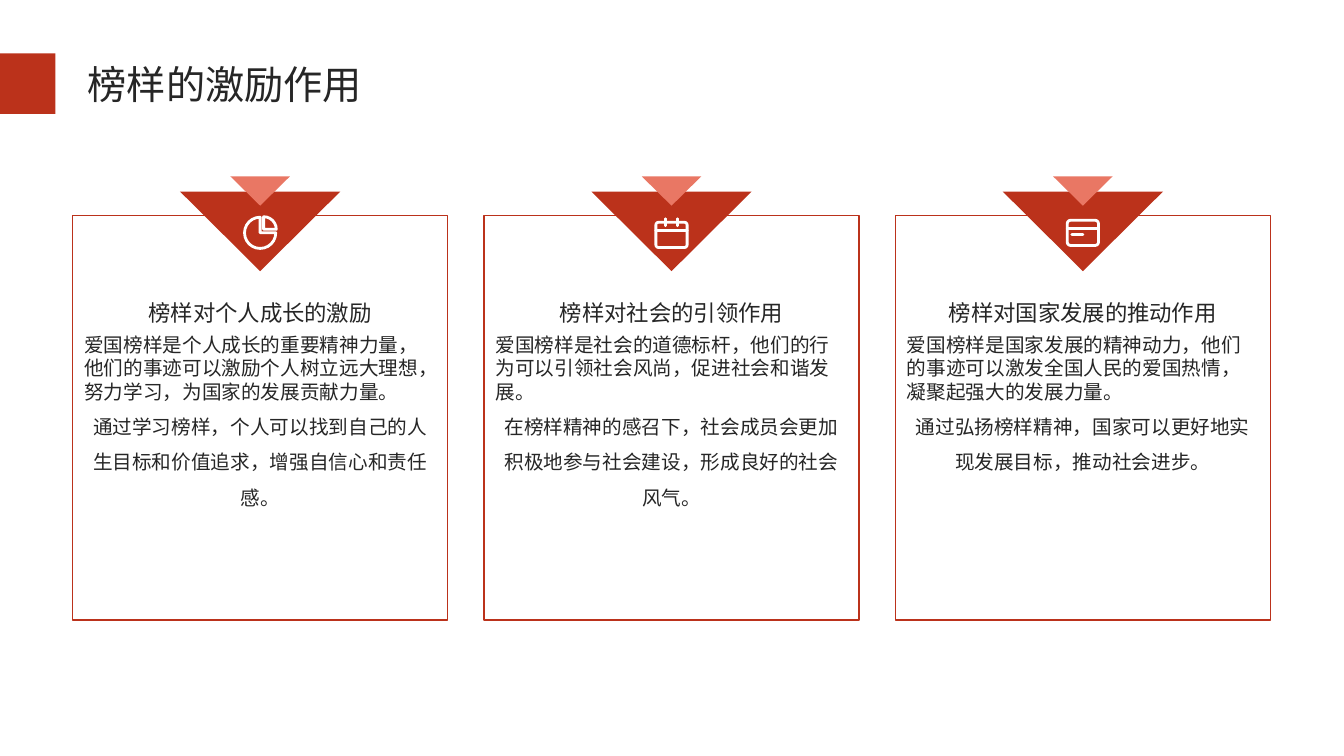
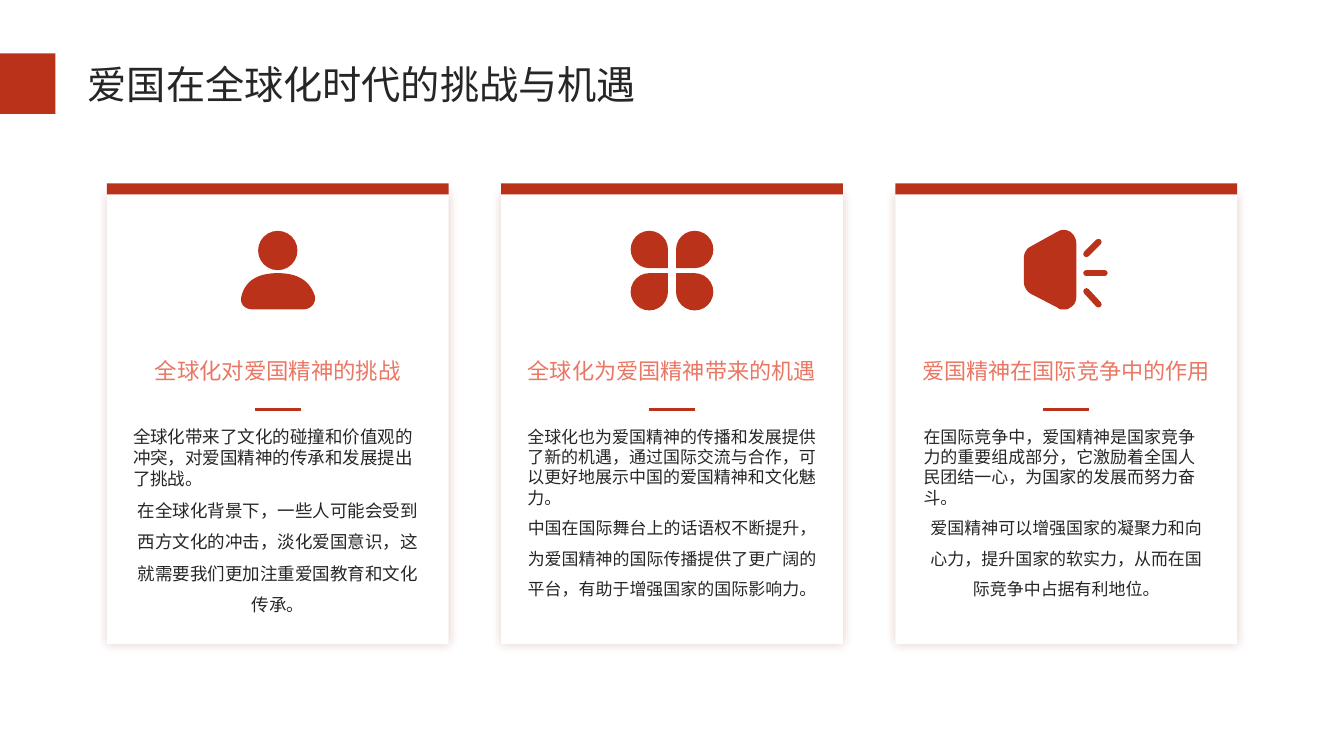
from lxml import etree
from pptx import Presentation
from pptx import util as u
from pptx.dml.color import RGBColor
from pptx.enum import shapes, text
from pptx.oxml.ns import qn

COLORS = {"red": "BB321B", "coral": "E97764", "ink": "262626",
          "white": "FFFFFF", "shade": "8C2514"}
FONT = "Noto Sans CJK SC"
SLIDE_W, SLIDE_H = 13.33, 7.5
SHAPE, ALIGN, ANCHOR = shapes.MSO_SHAPE, text.PP_ALIGN, text.MSO_ANCHOR
TIGHT, LOOSE = 1.2, 1.8  # line pitch as a multiple of the text size

# Icon parts are offsets in inches from the icon's centre:
# ("shape", preset, box, settings), ("line", from, to),
# ("path", start, points or six-number curves).
PIE = [("shape", SHAPE.PIE, (-.155, -.155, .31, .31), {}),
       ("shape", SHAPE.PIE, (-.09, -.16, .25, .25), {"adjust": (162, 0)})]
CALENDAR = [("shape", SHAPE.ROUNDED_RECTANGLE, (-.155, -.105, .31, .25), {"adjust": (.1,)}),
            ("line", (-.155, -.02), (.155, -.02)),
            ("line", (-.06, -.14), (-.06, -.07)),
            ("line", (.06, -.14), (.06, -.07))]
BANK_CARD = [("shape", SHAPE.ROUNDED_RECTANGLE, (-.155, -.125, .31, .25), {"adjust": (.13,)}),
             ("line", (-.155, -.045), (.155, -.045)),
             ("line", (-.11, .015), (0, .015))]
PERSON = [("shape", SHAPE.OVAL, (-.195, -.39, .39, .39), {}),
          ("path", (0, .03), [
              (.24, .03, .33, .14, .37, .26), (.38, .33, .33, .39, .25, .39),
              (-.25, .39), (-.33, .39, -.38, .33, -.36, .26),
              (-.33, .14, -.24, .03, 0, .03)])]
CLOVER = [("shape", SHAPE.TEAR, (x, y, .37, .37), {"rotation": turn})
          for x, y, turn in [(-.41, -.39, 90), (.04, -.39, 180),
                             (-.41, .03, 0), (.04, .03, 270)]]
SPEAKER = [("path", (-.03, -.4), [
               (0, -.4, .02, -.39, .04, -.38), (.08, -.35, .1, -.31, .1, -.26),
               (.1, .26), (.1, .31, .08, .35, .04, .37),
               (.02, .39, 0, .39, -.03, .39), (-.05, .39, -.07, .39, -.09, .37),
               (-.36, .23), (-.4, .2, -.42, .16, -.42, .11),
               (-.42, -.12), (-.42, -.16, -.4, -.21, -.36, -.23),
               (-.09, -.38), (-.07, -.39, -.05, -.4, -.03, -.4)]),
           ("line", (.2, -.16), (.32, -.28)),
           ("line", (.2, .03), (.38, .03)),
           ("line", (.2, .21), (.32, .34))]

ROLES = {
    "title": "榜样的激励作用",
    "cards": [
        ("榜样对个人成长的激励", PIE,
         "爱国榜样是个人成长的重要精神力量，他们的事迹可以激励个人树立远大理想，努力学习，为国家的发展贡献力量。",
         "通过学习榜样，个人可以找到自己的人生目标和价值追求，增强自信心和责任感。"),
        ("榜样对社会的引领作用", CALENDAR,
         "爱国榜样是社会的道德标杆，他们的行为可以引领社会风尚，促进社会和谐发展。",
         "在榜样精神的感召下，社会成员会更加积极地参与社会建设，形成良好的社会风气。"),
        ("榜样对国家发展的推动作用", BANK_CARD,
         "爱国榜样是国家发展的精神动力，他们的事迹可以激发全国人民的爱国热情，凝聚起强大的发展力量。",
         "通过弘扬榜样精神，国家可以更好地实现发展目标，推动社会进步。"),
    ],
}
GLOBAL = {
    "title": "爱国在全球化时代的挑战与机遇",
    "cards": [
        ("全球化对爱国精神的挑战", PERSON,
         "全球化带来了文化的碰撞和价值观的冲突，对爱国精神的传承和发展提出了挑战。",
         "在全球化背景下，一些人可能会受到西方文化的冲击，淡化爱国意识，这就需要我们更加注重爱国教育和文化传承。"),
        ("全球化为爱国精神带来的机遇", CLOVER,
         "全球化也为爱国精神的传播和发展提供了新的机遇，通过国际交流与合作，可以更好地展示中国的爱国精神和文化魅力。",
         "中国在国际舞台上的话语权不断提升，为爱国精神的国际传播提供了更广阔的平台，有助于增强国家的国际影响力。"),
        ("爱国精神在国际竞争中的作用", SPEAKER,
         "在国际竞争中，爱国精神是国家竞争力的重要组成部分，它激励着全国人民团结一心，为国家的发展而努力奋斗。",
         "爱国精神可以增强国家的凝聚力和向心力，提升国家的软实力，从而在国际竞争中占据有利地位。"),
    ],
    # heading size, body size, body width of each card
    "fit": [(16, 12.5, 2.99), (15.8, 12.1, 2.99), (15.8, 12.1, 2.95)],
}


def rgb(name):
    return RGBColor.from_string(COLORS[name])


def inches(values):
    return [u.Inches(v) for v in values]


def centred(middle, top, width, height):
    return middle - width / 2, top, width, height


def paint(shape, fill=None, line=None, weight=1):
    shape.shadow.inherit = False
    if fill:
        shape.fill.solid()
        shape.fill.fore_color.rgb = rgb(fill)
    else:
        shape.fill.background()
    if line:
        shape.line.color.rgb = rgb(line)
        shape.line.width = u.Pt(weight)
    else:
        shape.line.fill.background()


def add_preset(slide, preset, box, rotation=0, adjust=(), **look):
    shape = slide.shapes.add_shape(preset, *inches(box))
    shape.rotation = rotation
    for i, value in enumerate(adjust):
        shape.adjustments[i] = value
    paint(shape, **look)
    return shape


def add_line(slide, start, end, color, weight, cap="flat"):
    line = slide.shapes.add_connector(
        shapes.MSO_CONNECTOR.STRAIGHT, *inches(start + end))
    line.line.color.rgb = rgb(color)
    line.line.width = u.Pt(weight)
    line.line._get_or_add_ln().set("cap", cap)
    etree.SubElement(line._element.spPr, qn("a:effectLst"))


def add_soft_shadow(shape):
    effects = shape._element.spPr.find(qn("a:effectLst"))
    shadow = etree.SubElement(effects, qn("a:outerShdw"), blurRad=str(u.Pt(7)),
                              dist="0", dir="0", algn="ctr", rotWithShape="0")
    color = etree.SubElement(shadow, qn("a:srgbClr"), val=COLORS["shade"])
    etree.SubElement(color, qn("a:alpha"), val="24000")


def write(shape, paragraphs, inset=(0, 0), anchor=ANCHOR.TOP):
    """Fill a text shape; each paragraph is (text, size, colour, format values)."""
    frame = shape.text_frame
    across, down = inches(inset)
    settings = {"word_wrap": True, "auto_size": text.MSO_AUTO_SIZE.NONE,
                "vertical_anchor": anchor, "margin_left": across,
                "margin_right": across, "margin_top": down, "margin_bottom": down}
    for key, value in settings.items():
        setattr(frame, key, value)
    for i, (words, size, color, layout) in enumerate(paragraphs):
        paragraph = frame.add_paragraph() if i else frame.paragraphs[0]
        for key, value in layout.items():
            setattr(paragraph, key, value)
        run = paragraph.add_run()
        run.text = words
        for key, value in {"name": FONT, "size": u.Pt(size), "bold": False}.items():
            setattr(run.font, key, value)
        run.font.color.rgb = rgb(color)
        etree.SubElement(run._r.get_or_add_rPr(), qn("a:ea"), typeface=FONT)


def add_heading(slide, words, box, size, color, spacing, **frame):
    layout = {"alignment": ALIGN.CENTER, "line_spacing": spacing}
    write(slide.shapes.add_textbox(*inches(box)), [(words, size, color, layout)], **frame)


def add_body(slide, lead, detail, box, size, **frame):
    """A tight left-aligned lead above a loosely set, centred detail."""
    write(slide.shapes.add_textbox(*inches(box)), [
        (words, size, "ink", {"alignment": align, "line_spacing": u.Pt(size * pitch)})
        for words, align, pitch in [(lead, ALIGN.LEFT, TIGHT),
                                    (detail, ALIGN.CENTER, LOOSE)]], **frame)


def trace(start, steps, parts=12):
    """Turn straight steps and cubic curves into a list of points."""
    points = [start]
    for step in steps:
        if len(step) == 2:
            points.append(step)
            continue
        corners = [points[-1], step[:2], step[2:4], step[4:]]
        for k in range(1, parts + 1):
            t = k / parts
            weights = ((1 - t) ** 3, 3 * t * (1 - t) ** 2, 3 * t * t * (1 - t), t ** 3)
            points.append(tuple(sum(w * c[axis] for w, c in zip(weights, corners))
                                for axis in (0, 1)))
    return points


def draw_icon(slide, icon, x, y, look, color, weight):
    for kind, first, second, *settings in icon:
        if kind == "shape":
            left, top, width, height = second
            add_preset(slide, first, (x + left, y + top, width, height),
                       **settings[0], **look)
        elif kind == "line":
            add_line(slide, (x + first[0], y + first[1]),
                     (x + second[0], y + second[1]), color, weight, "rnd")
        else:
            points = [inches((x + px, y + py)) for px, py in trace(first, second)]
            builder = slide.shapes.build_freeform(*points[0], scale=1.0)
            builder.add_line_segments(points[1:], close=True)
            paint(builder.convert_to_shape(), **look)


def add_titled_slide(deck, title):
    slide = deck.slides.add_slide(deck.slide_layouts.get_by_name("Title Only"))
    holder = slide.shapes.title
    holder.left, holder.top, holder.width, holder.height = inches((.87, .55, 11.88, .51))
    write(holder, [(title, 28, "ink", {"alignment": ALIGN.LEFT, "line_spacing": 1.1})],
          anchor=ANCHOR.MIDDLE)
    add_preset(slide, SHAPE.RECTANGLE, (0, .53, .55, .6), fill="red")
    return slide


def build_roles(deck):
    slide = add_titled_slide(deck, ROLES["title"])
    left, pitch, width = .72, 4.08, 3.72
    for i, (heading, icon, lead, detail) in enumerate(ROLES["cards"]):
        x = left + i * pitch
        middle = x + width / 2
        add_preset(slide, SHAPE.RECTANGLE, (x, 2.14, width, 4.01), fill="white", line="red")
        for top, across, down, color in [(1.9, 1.59, .79, "red"), (1.75, .59, .29, "coral")]:
            add_preset(slide, SHAPE.FLOWCHART_EXTRACT,
                       centred(middle, top, across, down), rotation=180, fill=color)
        draw_icon(slide, icon, middle, 2.31, {"line": "white", "weight": 2}, "white", 2)
        add_body(slide, lead, detail, centred(middle, 3.3, 3.49, 2.8), 14)
        add_heading(slide, heading, centred(middle, 2.75, 3.49, .48), 16, "ink", 1.3,
                    anchor=ANCHOR.BOTTOM)


def build_global(deck):
    slide = add_titled_slide(deck, GLOBAL["title"])
    left, pitch, width, inset = 1.06, 3.91, 3.39, (.06, .03)
    for i, (card, fit) in enumerate(zip(GLOBAL["cards"], GLOBAL["fit"])):
        heading, icon, lead, detail = card
        heading_size, body_size, body_width = fit
        x = left + i * pitch
        middle = x + width / 2
        add_soft_shadow(add_preset(slide, SHAPE.RECTANGLE, (x, 1.93, width, 4.46),
                                   fill="white"))
        add_preset(slide, SHAPE.RECTANGLE, (x, 1.82, width, .11), fill="red")
        draw_icon(slide, icon, middle, 2.68, {"fill": "red"}, "red", 4.5)
        add_heading(slide, heading, centred(middle, 3.3, 2.99, .62), heading_size,
                    "coral", 1.5, inset=inset, anchor=ANCHOR.MIDDLE)
        add_line(slide, (middle - .23, 4.06), (middle + .23, 4.06), "red", 2.25)
        add_body(slide, lead, detail, centred(middle, 4.2, body_width, 1.89),
                 body_size, inset=inset)


def main():
    deck = Presentation()
    deck.slide_width, deck.slide_height = inches((SLIDE_W, SLIDE_H))
    build_roles(deck)
    build_global(deck)
    deck.save("out.pptx")


if __name__ == "__main__":
    main()
